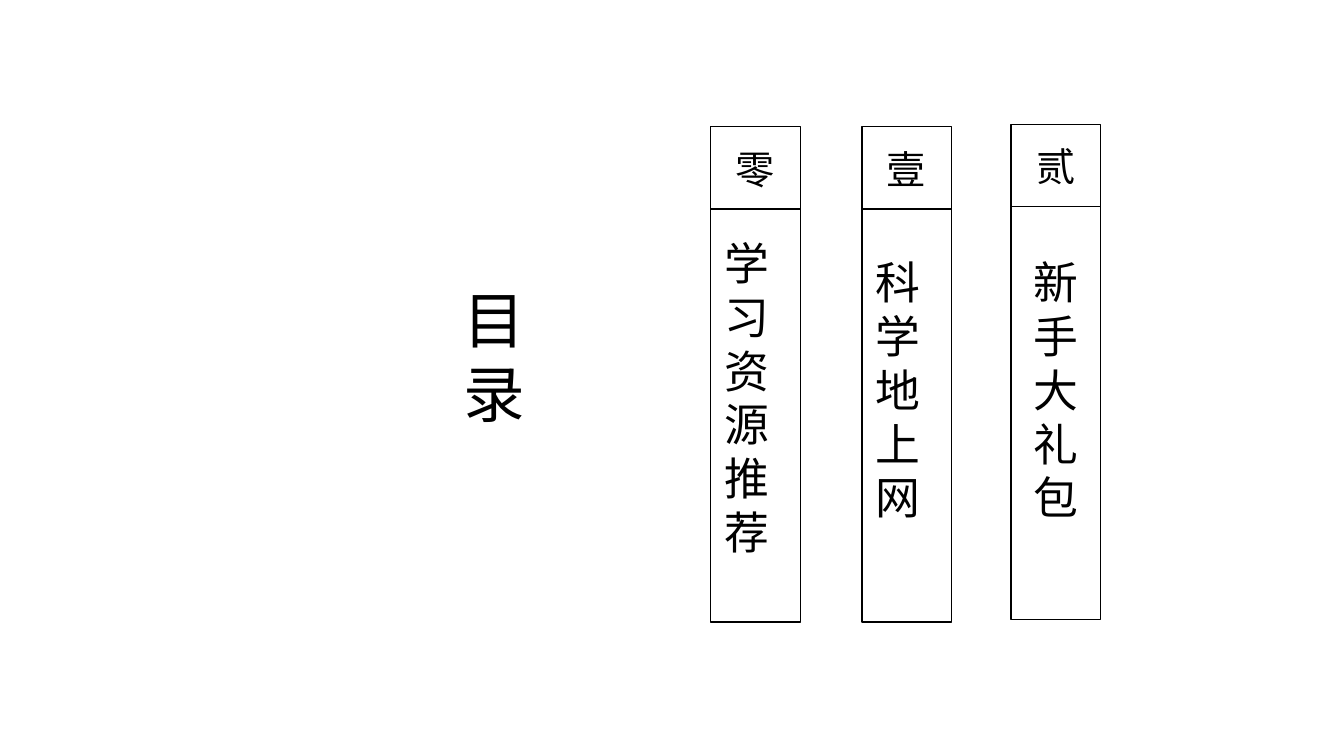
from dataclasses import dataclass

from pptx import Presentation
from pptx.dml.color import RGBColor
from pptx.enum.shapes import MSO_SHAPE
from pptx.enum.text import MSO_AUTO_SIZE, PP_ALIGN
from pptx.util import Pt

RECT = MSO_SHAPE.RECTANGLE
GROW = MSO_AUTO_SIZE.SHAPE_TO_FIT_TEXT
LEFT, CENTER = PP_ALIGN.LEFT, PP_ALIGN.CENTER


@dataclass(frozen=True)
class Theme:
    ink: RGBColor = RGBColor(0, 0, 0)
    title_font: str = "Calibri"
    body_font: str = "Roboto"
    title_size: int = 44
    label_size: int = 32
    number_size: int = 28
    line_width: int = 1


class SlideBuilder:
    def __init__(self, slide, theme):
        self.slide = slide
        self.theme = theme

    def box(self, x, y, w, h):
        sp = self.slide.shapes.add_shape(RECT, Pt(x), Pt(y), Pt(w), Pt(h))
        sp.shadow.inherit = False
        sp.fill.background()
        sp.line.color.rgb = self.theme.ink
        sp.line.width = Pt(self.theme.line_width)

    def text(self, text, x, y, w, h, font, size, align=LEFT, **frame):
        tb = self.slide.shapes.add_textbox(Pt(x), Pt(y), Pt(w), Pt(h))
        tf = tb.text_frame
        for name, value in {"word_wrap": True, "auto_size": GROW, **frame}.items():
            setattr(tf, name, value)
        p = tf.paragraphs[0]
        p.alignment = align
        r = p.add_run()
        r.text = text
        for name, value in {"name": font, "size": Pt(size)}.items():
            setattr(r.font, name, value)
        r.font.color.rgb = self.theme.ink

    def title(self, text, x, y, w, h):
        self.text(text, x, y, w, h, self.theme.title_font, self.theme.title_size)

    def number(self, text, x, y, w, h):
        self.text(text, x, y, w, h, self.theme.body_font,
                  self.theme.number_size, word_wrap=False)

    def label(self, text, x, y, w, h):
        self.text(text, x, y, w, h, self.theme.body_font, self.theme.label_size,
                  CENTER, margin_left=0, margin_right=0)


COLUMN_W, HEAD_H, BODY_H = 64.1, 58.7, 295.2
LABEL_W, LABEL_LINE_H = 36, 38.6
COLUMNS = [
    ("零", "学习资源推荐", 507.6, 90.5, 533.3, 164.9),
    ("壹", "科学地上网", 615.6, 90.5, 641.3, 178.6),
    ("贰", "新手大礼包", 722.2, 88.8, 754, 178.6),
]


def main():
    prs = Presentation()
    prs.slide_width, prs.slide_height = Pt(960), Pt(540)
    s = SlideBuilder(prs.slides.add_slide(prs.slide_layouts[6]), Theme())
    s.title("目录", 324, 198, 56.2, 113.8)
    for number, label, x, y, label_center, label_y in COLUMNS:
        s.box(x, y + HEAD_H, COLUMN_W, BODY_H)
        s.label(label, label_center - LABEL_W / 2, label_y,
                LABEL_W, LABEL_LINE_H * len(label) + 7.2)
        s.box(x, y, COLUMN_W, HEAD_H)
        s.number(number, x + 10.8, y + 9.6, 42.5, 41)
    prs.save("out.pptx")


if __name__ == "__main__":
    main()
